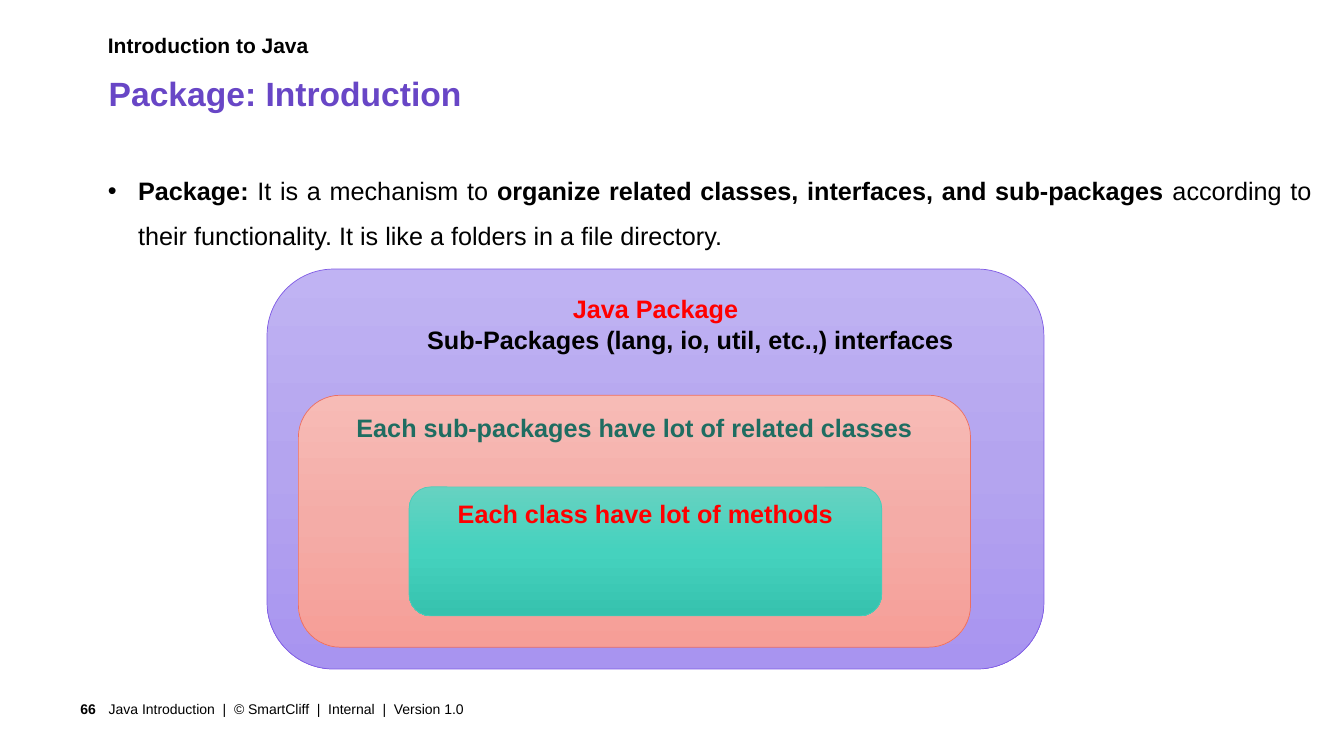
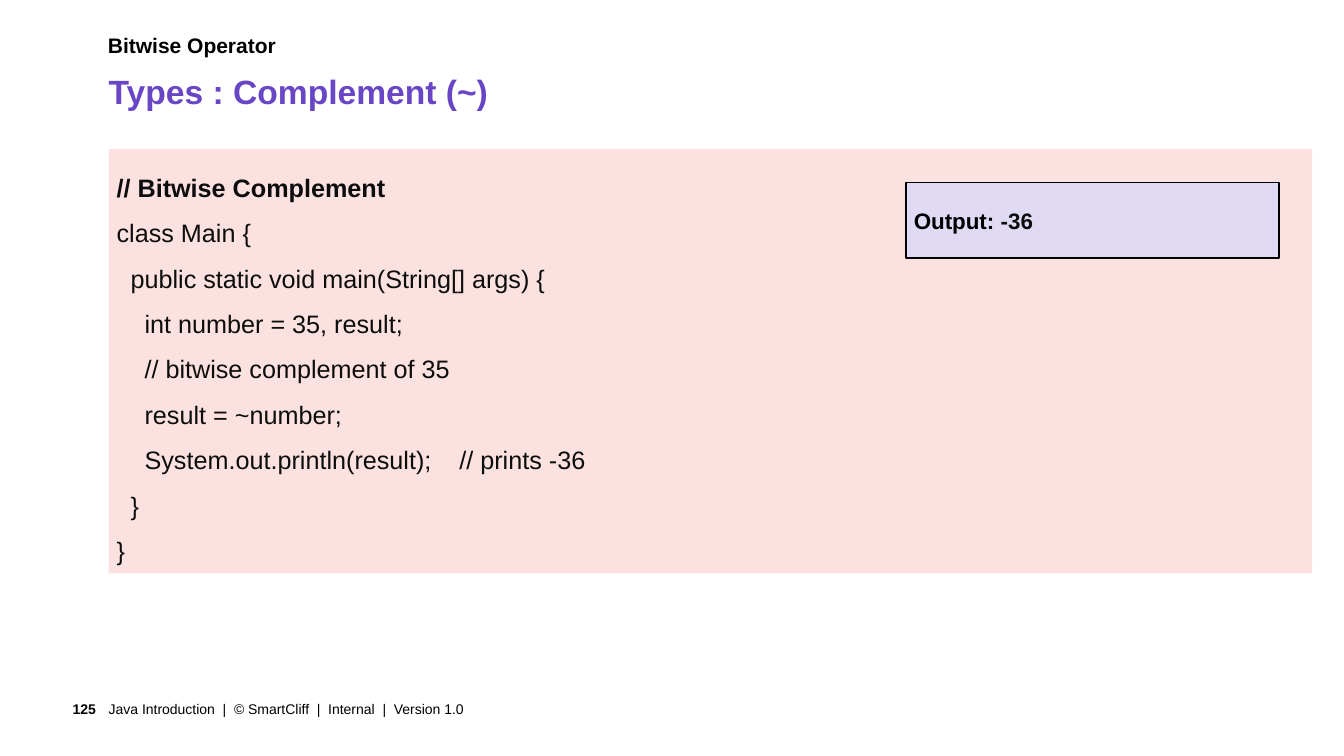
from copy import deepcopy
from dataclasses import dataclass

from lxml.etree import SubElement
from pptx import Presentation
from pptx.dml.color import RGBColor
from pptx.enum.shapes import MSO_SHAPE as Preset
from pptx.enum.text import MSO_ANCHOR as Anchor, MSO_AUTO_SIZE as AutoSize, PP_ALIGN as Align
from pptx.oxml.ns import qn
from pptx.util import Cm, Pt


@dataclass(frozen=True)
class Theme:
    font: str = "Arial"
    title: str = "6846C6"
    ink: str = "000000"
    code: str = "0D0D0D"
    red: str = "FF0000"
    green: str = "1F6D61"
    code_fill: str = "FBE2E0"
    output_fill: str = "E1DAF4"
    title_size: int = 24
    body_size: int = 18
    output_size: int = 16
    topic_size: int = 15
    footer_size: int = 10


THEME = Theme()
FOOTER = "Java Introduction  |  © SmartCliff  |  Internal  |  Version 1.0"

PACKAGE = {"number": 66, "topic": "Introduction to Java",
           "title": "Package: Introduction", "title_top": 1.8}
DEFINITION = [
    ("Package: ", True),
    ("It is a mechanism to ", False),
    ("organize related classes, interfaces, and sub-packages ", True),
    ("according to their functionality. It is like a folders in a file directory.", False),
]
NESTED_BOXES = [
    {"at": (6.73, 6.78, 19.58, 10.08), "stops": ("C0B3F3", "B4A4EF", "A894F0"), "line": "805CE5",
     "lines": [("Java Package", THEME.red, 0),
               ("Sub-Packages (lang, io, util, etc.,) interfaces", THEME.ink, 1.76)]},
    {"at": (7.52, 9.96, 16.94, 6.35), "stops": ("F7BBB6", "F4ACA7", "F69E97"), "line": "EC6F62",
     "lines": [("Each sub-packages have lot of related classes", THEME.green, 0)]},
    {"at": (10.31, 12.27, 11.91, 3.25), "stops": ("66D2C1", "45D2BE", "36C2AE"), "line": "4BCCB9",
     "lines": [("Each class have lot of methods", THEME.red, 0)]},
]

COMPLEMENT = {"number": 125, "topic": "Bitwise Operator",
              "title": "Types : Complement (~)", "title_top": 1.75}
CODE_HEADING = "// Bitwise Complement"
CODE = """class Main {
  public static void main(String[] args) {
    int number = 35, result;
    // bitwise complement of 35
    result = ~number;
    System.out.println(result);    // prints -36
  }
}""".split("\n")
OUTPUT = [("Output: ", THEME.ink), ("-36", THEME.code)]


def place(shape, left, top, width, height):
    shape.left, shape.top, shape.width, shape.height = map(Cm, (left, top, width, height))


def set_frame(shape, anchor=Anchor.TOP, insets=(0, 0, 0, 0)):
    frame = shape.text_frame
    frame.word_wrap = True
    frame.auto_size = AutoSize.NONE
    frame.vertical_anchor = anchor
    frame.margin_left, frame.margin_top, frame.margin_right, frame.margin_bottom = map(Cm, insets)
    return frame


def write(frame, text, first=True, size=THEME.body_size, color=THEME.ink, bold=False,
          align=Align.LEFT, spacing=1.0, indent=0, bullet=None):
    para = frame.paragraphs[0] if first else frame.add_paragraph()
    para.alignment = align
    para.line_spacing = spacing
    props = para._p.get_or_add_pPr()
    if indent:
        props.set("marL", str(Cm(indent)))
    if bullet:
        props.set("indent", str(-Cm(indent)))
        SubElement(props, qn("a:buFont"), typeface=THEME.font)
        SubElement(props, qn("a:buChar"), char=bullet)
    runs = [(text, {})] if isinstance(text, str) else text
    for words, change in runs:
        span = para.add_run()
        span.text = words
        span.font.name = THEME.font
        span.font.size = Pt(size)
        span.font.bold = change.get("bold", bold)
        span.font.color.rgb = RGBColor.from_string(change.get("color", color))


def add_text(page, at, text, anchor=Anchor.TOP, insets=(0, 0, 0, 0), **style):
    box = page.shapes.add_textbox(*map(Cm, at))
    write(set_frame(box, anchor, insets), text, **style)


def add_box(shapes, preset, at, fill, line=None, line_width=1):
    box = shapes.add_shape(preset, *map(Cm, at))
    box.shadow.inherit = False
    if isinstance(fill, str):
        box.fill.solid()
        box.fill.fore_color.rgb = RGBColor.from_string(fill)
    else:
        box.fill.gradient()
        box.fill.gradient_angle = 270
        stop_list = box._element.xpath(".//a:gsLst")[0]
        stop_list.insert(1, deepcopy(stop_list[0]))
        for index, (stop, color) in enumerate(zip(box.fill.gradient_stops, fill)):
            stop.color.rgb = RGBColor.from_string(color)
            stop.position = index / (len(fill) - 1)
    if line:
        box.line.color.rgb = RGBColor.from_string(line)
        box.line.width = Pt(line_width)
    else:
        box.line.fill.background()
    return box


def add_page(deck, number, topic, title, title_top):
    page = deck.slides.add_slide(deck.slide_layouts[5])
    place(page.shapes.title, 2.74, title_top, 30.33, 1.07)
    write(set_frame(page.shapes.title, Anchor.MIDDLE), title,
          size=THEME.title_size, color=THEME.title, bold=True)
    add_text(page, (2.72, 0.81, 30.33, 1.04), topic, size=THEME.topic_size, bold=True)
    add_text(page, (1.07, 17.48, 1.65, 0.79), str(number), anchor=Anchor.MIDDLE,
             insets=(0.25, 0.13, 0.3, 0.13), size=THEME.footer_size, bold=True, align=Align.RIGHT)
    add_text(page, (2.74, 17.48, 23.77, 0.79), FOOTER, anchor=Anchor.MIDDLE,
             insets=(0, 0.13, 0.25, 0.13), size=THEME.footer_size)
    return page


def add_package_page(deck):
    page = add_page(deck, **PACKAGE)
    add_text(page, (2.72, 4.04, 30.33, 2.6),
             [(words, {"bold": bold}) for words, bold in DEFINITION],
             align=Align.JUSTIFY, spacing=1.5, indent=0.76, bullet="•")
    group = page.shapes.add_group_shape()
    for item in NESTED_BOXES:
        box = add_box(group.shapes, Preset.ROUNDED_RECTANGLE, item["at"], item["stops"],
                      item["line"], 0.5)
        frame = set_frame(box, insets=(0.25, 0.13, 0.25, 0.13))
        for index, (text, color, indent) in enumerate(item["lines"]):
            write(frame, text, first=index == 0, color=color, bold=True,
                  align=Align.CENTER, indent=indent)


def add_complement_page(deck):
    page = add_page(deck, **COMPLEMENT)
    insets = (0.2, 0.2, 0.2, 0.2)
    listing = add_box(page.shapes, Preset.RECTANGLE, (2.74, 3.76, 30.33, 10.69), THEME.code_fill)
    frame = set_frame(listing, Anchor.MIDDLE, insets)
    for index, text in enumerate([CODE_HEADING] + CODE):
        write(frame, text, first=index == 0, color=THEME.code, bold=index == 0, spacing=1.5)
    result = add_box(page.shapes, Preset.RECTANGLE, (22.83, 4.6, 9.4, 1.9),
                     THEME.output_fill, THEME.ink)
    write(set_frame(result, Anchor.MIDDLE, insets),
          [(words, {"color": color}) for words, color in OUTPUT],
          size=THEME.output_size, bold=True)


def main():
    deck = Presentation()
    deck.slide_width, deck.slide_height = Cm(33.87), Cm(19.05)
    add_package_page(deck)
    add_complement_page(deck)
    deck.save("out.pptx")


if __name__ == "__main__":
    main()
